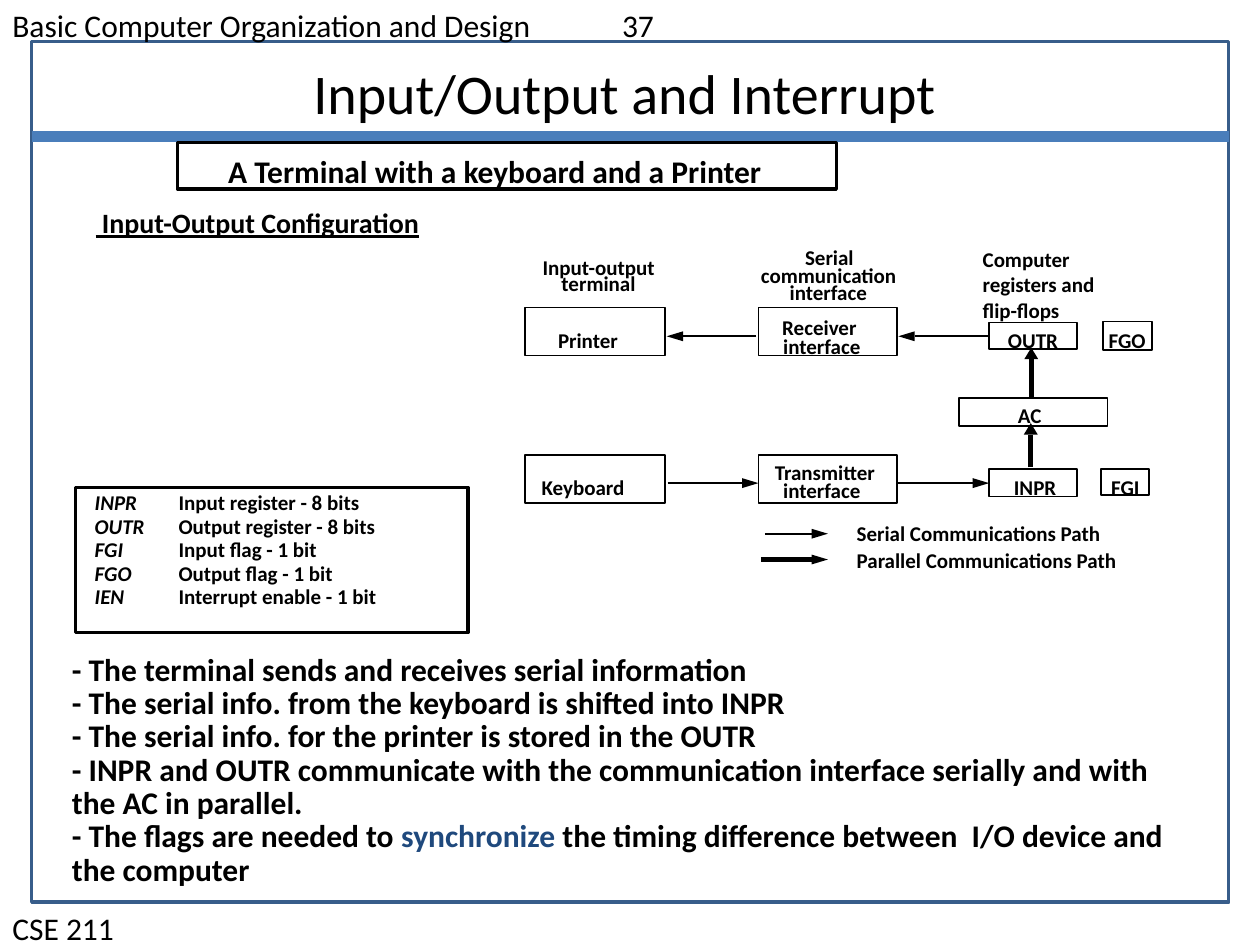
from lxml.etree import SubElement
from pptx import Presentation
from pptx.dml.color import RGBColor
from pptx.enum.shapes import MSO_CONNECTOR, MSO_SHAPE
from pptx.enum.text import MSO_ANCHOR, MSO_AUTO_SIZE, PP_ALIGN
from pptx.oxml.ns import qn
from pptx.util import Cm, Pt

BLACK = "000000"


def paint(target, color):
    target.rgb = RGBColor.from_string(color)


class Page:
    font = "Calibri"

    def __init__(self, slide):
        self.slide = slide
        self.shapes = slide.shapes

    def style(self, run, size, bold=False, color=BLACK):
        font = run.font
        font.name, font.size, font.bold = self.font, Pt(size), bold
        paint(font.color, color)

    def title(self, text, x, y, w, h):
        box = self.shapes.title
        box.left, box.top, box.width, box.height = Cm(x), Cm(y), Cm(w), Cm(h)
        frame = box.text_frame
        frame.text = text
        frame.auto_size = MSO_AUTO_SIZE.NONE
        frame.vertical_anchor = MSO_ANCHOR.TOP
        line = frame.paragraphs[0]
        line.alignment = PP_ALIGN.CENTER
        self.style(line.runs[0], 32)

    def text(self, text, x, y, w, h=0.76, size=12, bold=True, wrap=False,
             space=None, inset=None, tab=None):
        frame = self.shapes.add_textbox(Cm(x), Cm(y), Cm(w), Cm(h)).text_frame
        frame.text = text
        frame.word_wrap = wrap
        if inset:
            frame.margin_left = frame.margin_right = Cm(inset)
            frame.margin_top = frame.margin_bottom = Cm(inset / 2)
        for line in frame.paragraphs:
            if tab:
                tabs = SubElement(line._p.get_or_add_pPr(), qn("a:tabLst"))
                SubElement(tabs, qn("a:tab"), pos=str(Cm(tab)), algn="l")
            if space:
                line.line_spacing = space
            for run in line.runs:
                self.style(run, size, bold)
        return frame

    def box(self, x, y, w, h, width=1, color=BLACK):
        shape = self.shapes.add_shape(
            MSO_SHAPE.RECTANGLE, Cm(x), Cm(y), Cm(w), Cm(h))
        shape.shadow.inherit = False
        shape.fill.background()
        shape.line.width = Pt(width)
        paint(shape.line.color, color)

    def line(self, x1, y1, x2, y2, width=1, color=BLACK):
        line = self.shapes.add_connector(
            MSO_CONNECTOR.STRAIGHT, Cm(x1), Cm(y1), Cm(x2), Cm(y2))
        line.line.width = Pt(width)
        paint(line.line.color, color)
        SubElement(line._element.spPr, qn("a:effectLst"))

    def arrow(self, x1, y1, x2, y2, width=1):
        if x1 == x2:
            size, half = 0.23, 0.14
        else:
            size, half = 0.33, 0.1
        dx = (x2 > x1) - (x2 < x1)
        dy = (y2 > y1) - (y2 < y1)
        bx, by = x2 - dx * size, y2 - dy * size
        self.line(x1, y1, bx, by, width)
        path = self.shapes.build_freeform(Cm(x2), Cm(y2))
        path.add_line_segments([
            (Cm(bx - dy * half), Cm(by + dx * half)),
            (Cm(bx + dy * half), Cm(by - dx * half))])
        head = path.convert_to_shape()
        head.shadow.inherit = False
        head.fill.solid()
        paint(head.fill.fore_color, BLACK)
        head.line.fill.background()


def main():
    deck = Presentation()
    deck.slide_width, deck.slide_height = Cm(25.4), Cm(19.05)
    page = Page(deck.slides.add_slide(deck.slide_layouts[5]))

    page.box(0.64, 0.84, 24.13, 17.35, 2, "385D8A")
    page.text("Basic Computer Organization and Design\t37", 0, 0, 25.4, 1.04,
              18, False, True, tab=12.29)
    page.text("CSE 211", 0, 18.21, 25.4, 1.02, 18, False, True)
    page.line(0.64, 2.75, 24.77, 2.75, 6.75, "4A7EBB")
    page.title("Input/Output and Interrupt", 1.9, 1.06, 21.39, 1.63)

    page.text("A Terminal with a keyboard and a Printer",
              4.35, 2.95, 11.4, 1.02, 18)
    page.box(3.58, 2.87, 13.28, 0.94, 2)
    head = page.text(" Input-Output Configuration", 1.75, 4.16, 7, 0.71,
                     16, space=0.85, inset=0.18)
    head.paragraphs[0].runs[0].font.underline = True

    terms = [
        ("INPR", "Input register - 8 bits"),
        ("OUTR", "Output register - 8 bits"),
        ("FGI", "Input flag - 1 bit"),
        ("FGO", "Output flag - 1 bit"),
        ("IEN", "Interrupt enable - 1 bit"),
    ]
    frame = page.text("\n".join(name + "\t" for name, _ in terms),
                      1.73, 9.83, 10.8, 2.51, wrap=True, space=0.93,
                      inset=0.18, tab=1.69)
    for line, (_, note) in zip(frame.paragraphs, terms):
        for run in line.runs:
            run.font.italic = True
        run = line.add_run()
        run.text = note
        page.style(run, 12, True)
    page.box(1.52, 9.83, 7.92, 2.92, 2)

    notes = [
        "- The terminal sends and receives serial information",
        "- The serial info. from the keyboard is shifted into INPR",
        "- The serial info. for the printer is stored in the OUTR",
        "- INPR and OUTR communicate with the communication interface "
        "serially and with the AC in parallel.",
        "- The flags are needed to ",
    ]
    frame = page.text("\n".join(notes), 1.27, 13.11, 22.86, 4.85, 18,
                      wrap=True, space=0.88, inset=0.18)
    for text, color in [
        ("synchronize", "1F497D"),
        (" the timing difference between  I/O device and the computer", BLACK),
    ]:
        run = frame.paragraphs[-1].add_run()
        run.text = text
        page.style(run, 18, True, color)

    for label in [
        ("Input-output", 10.69, 5, 2.85),
        ("terminal", 11.07, 5.33, 2.1),
        ("Serial", 15.98, 4.8, 1.6),
        ("communication", 15.09, 5.16, 3.35),
        ("interface", 15.67, 5.51, 2.15),
        ("Computer\nregisters and\nflip-flops", 19.56, 4.85, 2.9, 2.29),
        ("Printer", 11, 6.48, 1.8),
        ("Keyboard", 10.67, 9.45, 2.25),
        ("Receiver", 15.52, 6.22, 2.1),
        ("interface", 15.54, 6.6, 2.15),
        ("Transmitter", 15.37, 9.14, 2.65),
        ("interface", 15.54, 9.5, 2.15),
        ("FGO", 22.1, 6.48, 1.4),
        ("OUTR", 20.07, 6.48, 1.6),
        ("AC", 20.27, 8, 1.1),
        ("INPR", 20.19, 9.45, 1.45),
        ("FGI", 22.15, 9.45, 1.2),
        ("Serial Communications Path", 17.02, 10.36, 5.55),
        ("Parallel Communications Path", 17.02, 10.92, 5.9),
    ]:
        page.text(*label)

    for x, w in [(10.59, 2.82), (15.29, 2.79)]:
        for y in (6.2, 9.17):
            page.box(x, y, w, 0.97)
    for part in [
        (22.23, 6.48, 0.99, 0.58),
        (19.94, 6.5, 1.78, 0.53),
        (19.33, 8.03, 3, 0.56),
        (19.94, 9.45, 1.78, 0.56),
        (22.2, 9.45, 0.97, 0.53),
    ]:
        page.box(*part)

    for link in [
        (19.91, 6.78, 18.11, 6.78),
        (15.24, 6.78, 13.44, 6.78),
        (13.46, 9.74, 15.29, 9.74),
        (18.11, 9.74, 19.94, 9.74),
        (15.42, 10.76, 16.69, 10.76),
        (15.34, 11.28, 16.69, 11.28, 3),
        (20.79, 8.03, 20.79, 7.01, 3),
        (20.78, 9.42, 20.78, 8.53, 3),
    ]:
        page.arrow(*link)

    deck.save("out.pptx")


if __name__ == "__main__":
    main()
